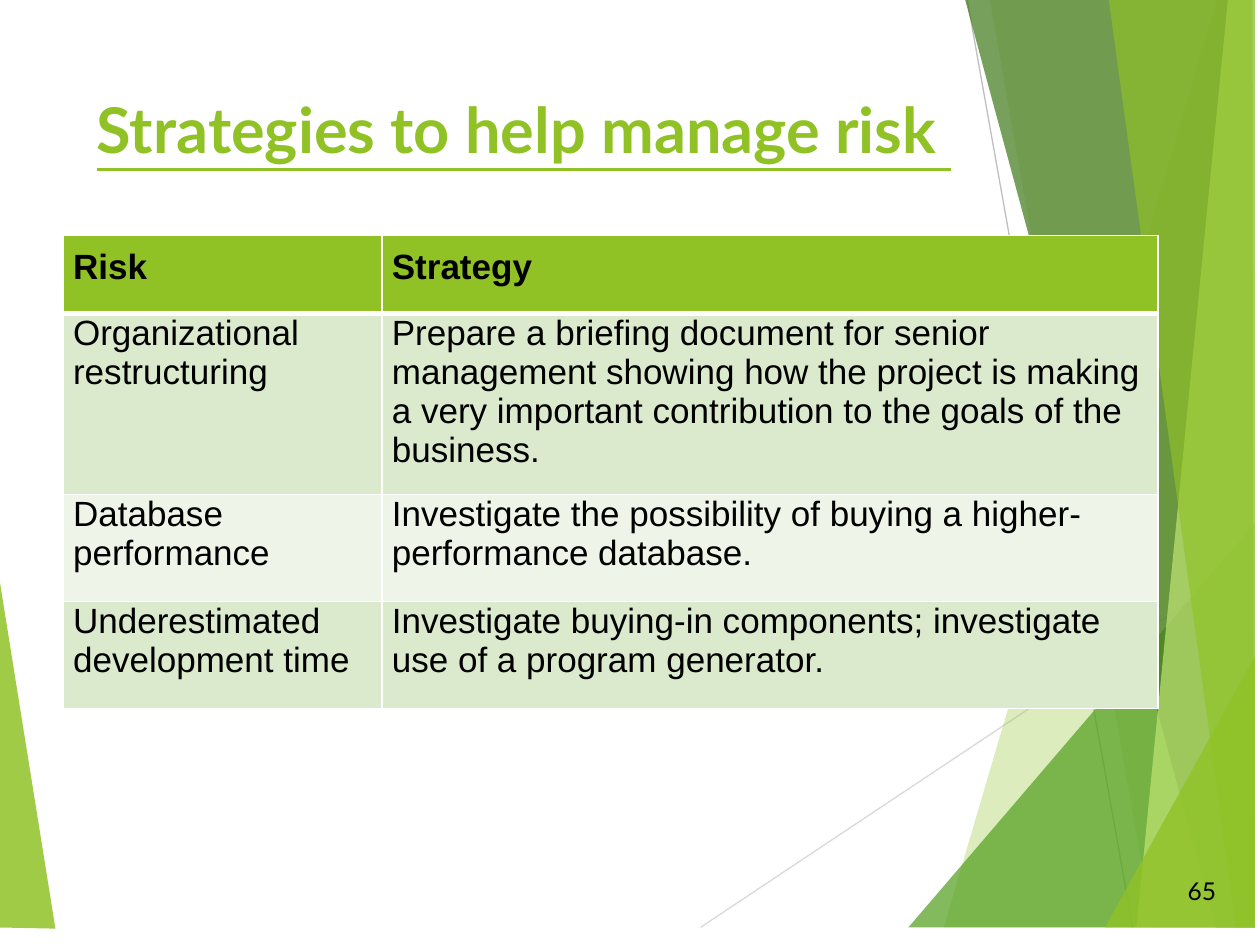
from dataclasses import dataclass

from lxml import etree
from pptx import Presentation
from pptx import util as u
from pptx.dml import color
from pptx.enum import shapes, text
from pptx.oxml import ns

GRID = u.Inches(0.01)  # all lengths are counted in hundredths of an inch
TOP, BOTTOM, RIGHT = -15, 736, 996  # bounds shared by the facets


@dataclass(frozen=True)
class Theme:
    accent: str = "90C226"
    green: str = "54A021"
    dark: str = "3F7819"
    light: str = "C0E474"
    bands: tuple = ("DBE9CD", "EEF4E8")
    border: str = "FFFFFF"
    ink: str = "000000"
    rays: tuple = ("D9D9D9", "BFBFBF")
    heading_font: str = "Lato"
    body_font: str = "Arial"
    title_size: int = 36
    body_size: int = 20
    number_size: int = 14


THEME = Theme()

# Corner points, colour, opacity in percent
LEFT_FACET = ([(-6, 425), (44, 737), (-6, 736)], THEME.accent, 85)
RIGHT_FACETS = [
    ([(970, TOP), (749, BOTTOM), (RIGHT, BOTTOM), (RIGHT, TOP)], THEME.accent, 30),
    ([(783, TOP), (915, BOTTOM), (RIGHT, BOTTOM), (RIGHT, TOP)], THEME.accent, 20),
    ([(721, BOTTOM), (RIGHT, 415), (RIGHT, BOTTOM)], THEME.green, 72),
    ([(762, TOP), (965, BOTTOM), (RIGHT, BOTTOM), (RIGHT, TOP)], THEME.dark, 70),
    ([(976, TOP), (902, BOTTOM), (RIGHT, BOTTOM), (RIGHT, TOP)], THEME.light, 70),
    ([(878, TOP), (981, BOTTOM), (995, BOTTOM), (994, TOP)], THEME.accent, 65),
    ([(877, BOTTOM), (RIGHT, 521), (RIGHT, BOTTOM)], THEME.accent, 80),
]
RAYS = [(556, BOTTOM, RIGHT, 443), (765, TOP, 899, BOTTOM)]

COLUMNS = [253, 616]
ROWS = [62, 120, 85, 85]
RISKS = [
    ("Risk", "Strategy"),
    ("Organizational restructuring",
     "Prepare a briefing document for senior management showing how the "
     "project is making a very important contribution to the goals of the business."),
    ("Database performance",
     "Investigate the possibility of buying a higher-performance database."),
    ("Underestimated development time",
     "Investigate buying-in components; investigate use of a program generator."),
]


def grid(*counts):
    return [count * GRID for count in counts]


def paint(fill, rgb, opacity=100):
    fill.solid()
    fill.fore_color.rgb = color.RGBColor.from_string(rgb)
    if opacity < 100:
        srgb = fill._xPr.find(".//" + ns.qn("a:srgbClr"))
        etree.SubElement(srgb, ns.qn("a:alpha"), val=str(opacity * 1000))


def write(frame, words, *, font, size, rgb=THEME.ink, bold=False,
          underline=False, align=text.PP_ALIGN.LEFT):
    frame.word_wrap = True
    para = frame.paragraphs[0]
    para.alignment = align
    span = para.add_run()
    span.text = words
    span.font.name, span.font.size = font, u.Pt(size)
    span.font.bold, span.font.underline = bold, underline
    span.font.color.rgb = color.RGBColor.from_string(rgb)


def add_facet(page, points, rgb, opacity):
    outline = page.shapes.build_freeform(*points[0], scale=GRID)
    outline.add_line_segments(points[1:], close=True)
    facet = outline.convert_to_shape()
    facet.shadow.inherit = False
    facet.line.fill.background()
    paint(facet.fill, rgb, opacity)


def add_ray(page, ends, rgb):
    ray = page.shapes.add_connector(shapes.MSO_CONNECTOR.STRAIGHT, *grid(*ends))
    ray.line.width = u.Pt(0.75)
    ray.line.color.rgb = color.RGBColor.from_string(rgb)
    etree.SubElement(ray._element.spPr, ns.qn("a:effectLst"))


def add_text(page, place, words, *, anchor=text.MSO_ANCHOR.TOP, **style):
    box = page.shapes.add_textbox(*grid(*place))
    box.text_frame.vertical_anchor = anchor
    write(box.text_frame, words, **style)


def border_cell(cell, header):
    properties = cell._tc.get_or_add_tcPr()
    for index, side in enumerate(("lnL", "lnR", "lnT", "lnB")):
        thick = (header and side == "lnB") or (not header and side == "lnT" and cell_below_header(cell))
        line = etree.Element(ns.qn("a:" + side), w=str(u.Pt(3 if thick else 1)))
        solid = etree.SubElement(line, ns.qn("a:solidFill"))
        etree.SubElement(solid, ns.qn("a:srgbClr"), val=THEME.border)
        properties.insert(index, line)  # borders come before the fill


def cell_below_header(cell):
    return cell._tc.row_idx == 1


def add_risk_table(page, left, top):
    size = grid(left, top, sum(COLUMNS), sum(ROWS))
    table = page.shapes.add_table(len(ROWS), len(COLUMNS), *size).table
    for column, width in zip(table.columns, grid(*COLUMNS)):
        column.width = width
    for index, (row, height) in enumerate(zip(table.rows, grid(*ROWS))):
        row.height = height
        header = index == 0
        for cell, words in zip(row.cells, RISKS[index]):
            cell.margin_left, cell.margin_right = grid(8, 8)
            cell.margin_top, cell.margin_bottom = grid(10 if header else 0, 10)
            paint(cell.fill, THEME.accent if header else THEME.bands[(index - 1) % 2])
            border_cell(cell, header)
            write(cell.text_frame, words, font=THEME.body_font,
                  size=THEME.body_size, bold=header)


def main():
    deck = Presentation()
    deck.slide_width, deck.slide_height = grid(1000, 750)
    page = deck.slides.add_slide(deck.slide_layouts[6])

    # Background facets and thin rays
    add_facet(page, *LEFT_FACET)
    for ends, rgb in zip(RAYS, THEME.rays):
        add_ray(page, ends, rgb)
    for facet in RIGHT_FACETS:
        add_facet(page, *facet)

    # Title; the underline runs one space past the last word
    add_text(page, (67, 67, 841, 144), "Strategies to help manage risk ",
             font=THEME.heading_font, size=THEME.title_size, rgb=THEME.accent,
             bold=True, underline=True)

    # Risks and strategies
    add_risk_table(page, 50, 187)

    # Page number
    add_text(page, (919, 687, 56, 40), "65", anchor=text.MSO_ANCHOR.MIDDLE,
             font=THEME.heading_font, size=THEME.number_size,
             align=text.PP_ALIGN.RIGHT)

    deck.save("out.pptx")


if __name__ == "__main__":
    main()
